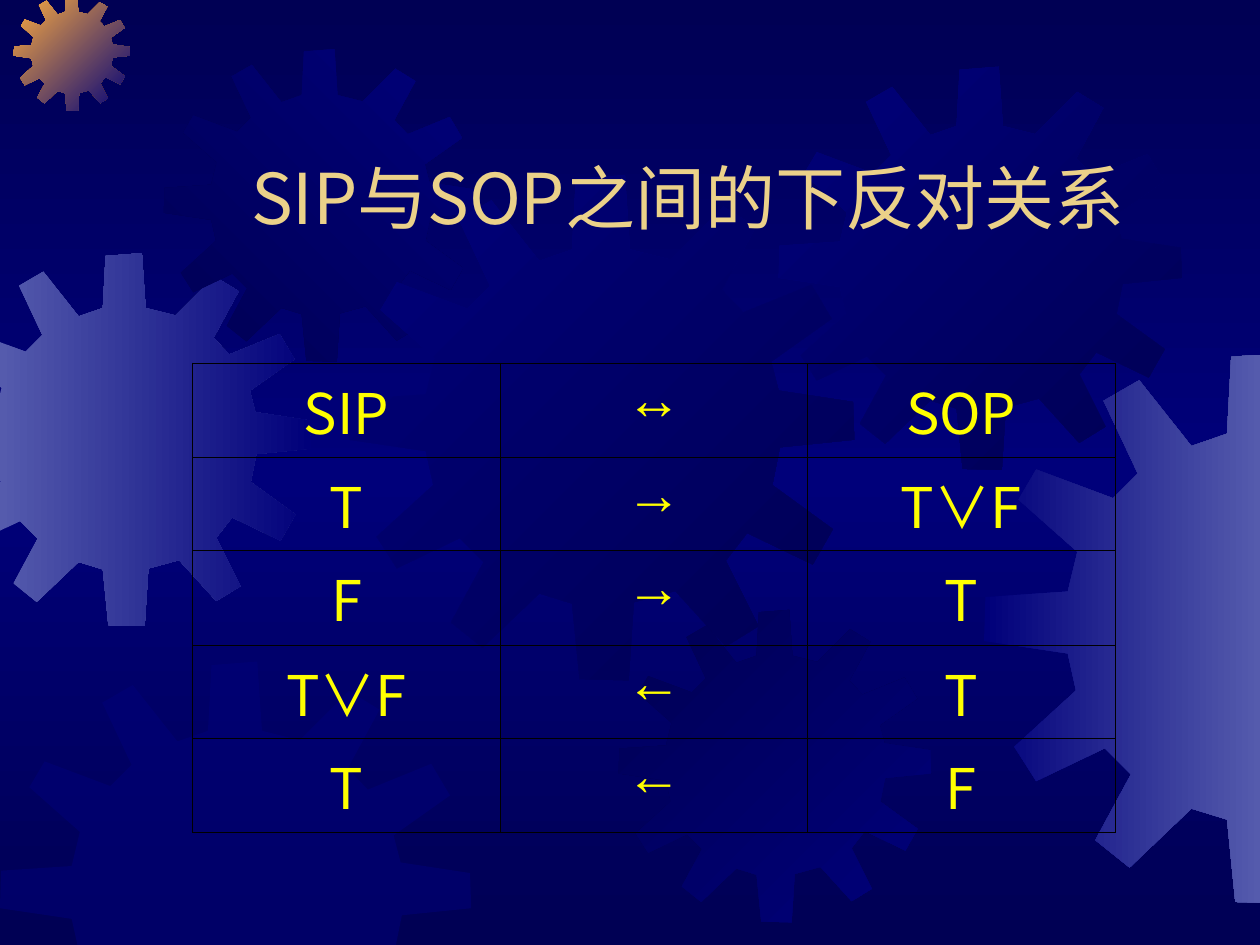
"""Build a slide on the subcontrary relation of SIP and SOP over a field of gears."""
import copy
import dataclasses
import typing

import pptx
import pptx.dml.color
import pptx.enum.text
import pptx.oxml
import pptx.oxml.ns
import pptx.util

PX = 9144
SLIDE_WIDTH, SLIDE_HEIGHT = 1000, 750
Point = tuple[float, float]


@dataclasses.dataclass(frozen=True)
class Theme:
    night: str = "000054"
    navy: str = "00007A"
    steel: str = "555BAD"
    amber: str = "FCAB40"
    sand: str = "EBD189"
    yellow: str = "FFFF00"
    rule: str = "000000"
    rule_width: float = 0.45
    title_size: int = 40
    table_size: int = 32
    text_font: str = "Noto Sans CJK SC"
    arrow_font: str = "Arial"


THEME = Theme()


@dataclasses.dataclass(frozen=True)
class Gear:
    left: int
    top: int
    size: int
    colours: tuple[str, ...]
    angle: int = 0
    opacity: int = 100


GEAR_SIZE = 401
GEAR_OUTLINE = [
    (255, 67), (223, 59), (219, 0), (180, 3), (177, 59), (151, 68), (113, 20), (87, 35),
    (112, 88), (94, 106), (38, 85), (25, 107), (68, 145), (61, 174), (1, 178), (0, 210),
    (61, 219), (67, 246), (22, 287), (38, 312), (88, 288), (107, 307), (81, 355), (106, 375),
    (151, 332), (177, 340), (183, 400), (222, 401), (226, 339), (259, 330), (299, 374), (325, 358),
    (299, 306), (316, 284), (368, 309), (384, 281), (336, 246), (342, 216), (401, 210), (400, 180),
    (341, 171), (335, 148), (383, 114), (367, 87), (313, 109), (296, 91), (323, 41), (297, 25),
]
GEARS = [
    Gear(-49, 201, 296, (THEME.steel, THEME.navy)),
    Gear(11, -4, 92, (THEME.amber, THEME.navy), 45),
    Gear(130, 39, 248, (THEME.night, THEME.navy), 315),
    Gear(277, 139, 401, (THEME.navy, THEME.night), 45),
    Gear(0, 525, 374, (THEME.navy,), opacity=50),
    Gear(491, 484, 248, (THEME.night, THEME.navy), 45),
    Gear(618, 53, 320, (THEME.navy, THEME.night), 45),
    Gear(781, 280, 437, (THEME.navy, THEME.steel)),
]
TITLE = "SIP与SOP之间的下反对关系"
INFERENCES = [
    ("SIP", "↔", "SOP"),
    ("T", "→", "T∨F"),
    ("F", "→", "T"),
    ("T∨F", "←", "T"),
    ("T", "←", "F"),
]
ROW_HEIGHTS = [75, 74, 75, 74, 75]
COLUMN_WIDTH = 244


def rgb(colour: str) -> pptx.dml.color.RGBColor:
    return pptx.dml.color.RGBColor.from_string(colour)


def apply_format(target: typing.Any, values: dict[str, typing.Any]) -> None:
    for attribute, value in values.items():
        setattr(target, attribute, value)


def clip(outline: list[Point], axis: int, limit: int, sign: int) -> list[Point]:
    kept = []
    for start, end in zip(outline[-1:] + outline[:-1], outline):
        start_depth = sign * (start[axis] - limit)
        end_depth = sign * (end[axis] - limit)
        if (start_depth < 0) != (end_depth < 0):
            share = start_depth / (start_depth - end_depth)
            kept.append(tuple(a + share * (b - a) for a, b in zip(start, end)))
        if end_depth >= 0:
            kept.append(end)
    return kept


def fill_gradient(fill: typing.Any, colours: tuple[str, ...], angle: int) -> None:
    fill.gradient()
    fill.gradient_angle = -angle % 360
    for stop, colour in zip(fill.gradient_stops, colours):
        stop.color.rgb = rgb(colour)


def paint_background(slide: typing.Any) -> None:
    fill_gradient(slide.background.fill, (THEME.night, THEME.navy), 90)
    stops = slide.background.fill.gradient_stops
    stops[1].position = 0.5
    stop_list = next(slide.element.iter(pptx.oxml.ns.qn("a:gsLst")))
    last_stop = copy.deepcopy(stop_list[0])
    last_stop.set("pos", "100000")
    stop_list.append(last_stop)


def draw_gear(slide: typing.Any, gear: Gear) -> None:
    scale = gear.size / GEAR_SIZE
    outline = [(gear.left + x * scale, gear.top + y * scale) for x, y in GEAR_OUTLINE]
    for axis, limit, sign in ((0, 0, 1), (1, 0, 1), (0, SLIDE_WIDTH, -1), (1, SLIDE_HEIGHT, -1)):
        outline = clip(outline, axis, limit, sign)
    corners = [(round(x * PX), round(y * PX)) for x, y in outline]
    builder = slide.shapes.build_freeform(*corners[0])
    builder.add_line_segments(corners[1:], close=True)
    wheel = builder.convert_to_shape()
    wheel.shadow.inherit = False
    wheel.line.fill.background()
    if len(gear.colours) > 1:
        fill_gradient(wheel.fill, gear.colours, gear.angle)
        return
    wheel.fill.solid()
    wheel.fill.fore_color.rgb = rgb(gear.colours[0])
    tint = next(wheel.element.spPr.iter(pptx.oxml.ns.qn("a:srgbClr")))
    alpha = tint.makeelement(pptx.oxml.ns.qn("a:alpha"), {"val": str(gear.opacity * 1000)})
    tint.append(alpha)


def write(frame: typing.Any, words: str, size: int, font: str, colour: str) -> None:
    paragraph = frame.paragraphs[0]
    paragraph.alignment = pptx.enum.text.PP_ALIGN.CENTER
    run = paragraph.add_run()
    run.text = words
    apply_format(run.font, {"size": pptx.util.Pt(size), "name": font})
    run.font.color.rgb = rgb(colour)
    properties = run.font._element
    properties.append(properties.makeelement(pptx.oxml.ns.qn("a:ea"), {"typeface": font}))


def draw_title(slide: typing.Any) -> None:
    heading = slide.shapes.add_textbox(121 * PX, 127 * PX, 850 * PX, 67 * PX).text_frame
    apply_format(heading, {
        "word_wrap": True, "vertical_anchor": pptx.enum.text.MSO_ANCHOR.BOTTOM,
        "margin_left": 0, "margin_right": 0, "margin_top": 0, "margin_bottom": 5 * PX,
    })
    write(heading, TITLE, THEME.title_size, THEME.text_font, THEME.sand)


def rule_cell(cell: typing.Any) -> None:
    cell.fill.background()
    properties = cell._tc.get_or_add_tcPr()
    for position, side in enumerate("LRTB"):
        properties.insert(position, pptx.oxml.parse_xml(
            f'<a:ln{side} {pptx.oxml.ns.nsdecls("a")} w="{pptx.util.Pt(THEME.rule_width)}">'
            f'<a:solidFill><a:srgbClr val="{THEME.rule}"/></a:solidFill></a:ln{side}>'))


def draw_inferences(slide: typing.Any) -> None:
    columns = len(INFERENCES[0])
    inferences = slide.shapes.add_table(
        len(INFERENCES), columns, 153 * PX, 288 * PX,
        columns * COLUMN_WIDTH * PX, sum(ROW_HEIGHTS) * PX).table
    apply_format(inferences, {"first_row": False, "horz_banding": False})
    for column in inferences.columns:
        column.width = COLUMN_WIDTH * PX
    margins = {"margin_left": 7 * PX, "margin_right": 7 * PX,
               "margin_top": 5 * PX, "margin_bottom": 5 * PX}
    for row, height, terms in zip(inferences.rows, ROW_HEIGHTS, INFERENCES):
        row.height = height * PX
        fonts = (THEME.text_font, THEME.arrow_font, THEME.text_font)
        for cell, term, font in zip(row.cells, terms, fonts):
            apply_format(cell, margins)
            rule_cell(cell)
            write(cell.text_frame, term, THEME.table_size, font, THEME.yellow)


def main() -> None:
    deck = pptx.Presentation()
    apply_format(deck, {"slide_width": SLIDE_WIDTH * PX, "slide_height": SLIDE_HEIGHT * PX})
    slide = deck.slides.add_slide(deck.slide_layouts[6])
    paint_background(slide)
    for gear in GEARS:
        draw_gear(slide, gear)
    draw_title(slide)
    draw_inferences(slide)
    deck.save("out.pptx")


if __name__ == "__main__":
    main()
